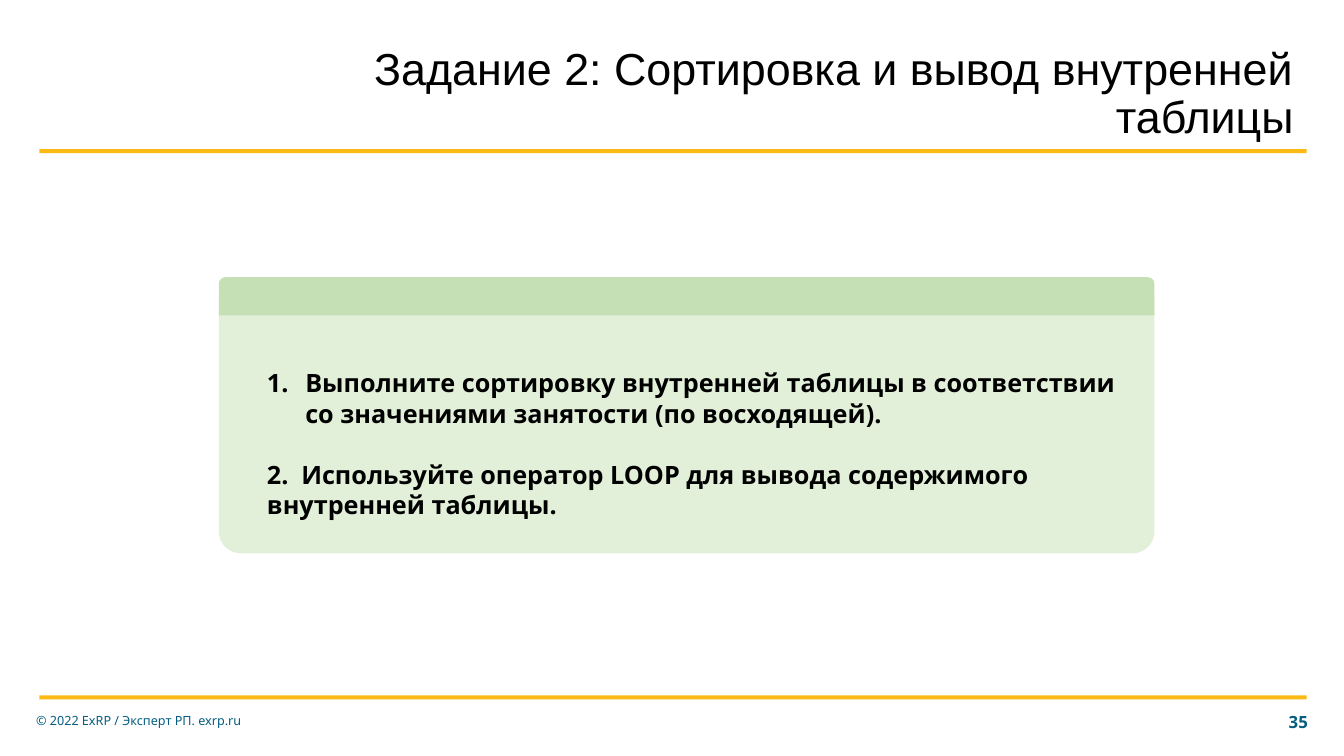
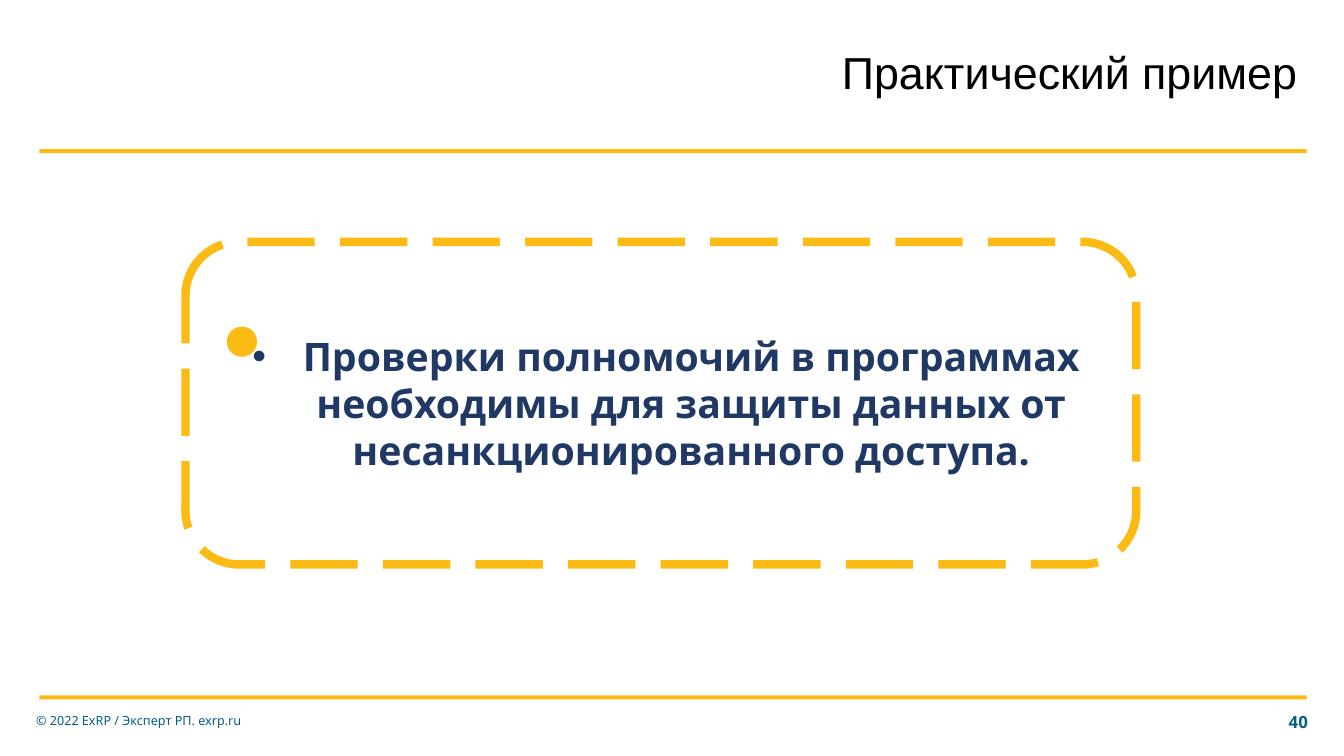
from dataclasses import dataclass
from typing import NamedTuple

from lxml.etree import SubElement
from pptx import Presentation
from pptx.dml.color import RGBColor
from pptx.enum.dml import MSO_LINE_DASH_STYLE as Dash
from pptx.enum.shapes import MSO_SHAPE as Shape
from pptx.enum.text import MSO_ANCHOR as Anchor, MSO_AUTO_SIZE as AutoSize, PP_ALIGN as Align
from pptx.oxml.ns import qn
from pptx.util import Pt

EMU_PER_PX = 9144  # 100 px to the inch


class Box(NamedTuple):
    left: int
    top: int
    width: int
    height: int

    def inner(self, left, top, width, height):
        """A box given relative to this one."""
        return Box(self.left + left, self.top + top, width, height)

    def emu(self):
        return [px(value) for value in self]


class TextStyle(NamedTuple):
    font: str
    size: int
    color: str
    bold: bool = False
    align: Align = Align.LEFT


@dataclass(frozen=True)
class Theme:
    accent: str = "FCBA14"
    panel: str = "E2F0D9"
    panel_header: str = "C5E0B4"
    dash_width: int = 6
    title: TextStyle = TextStyle("Arial", 32, "000000", align=Align.RIGHT)
    task: TextStyle = TextStyle("Noto Sans", 18, "000000", True)
    statement: TextStyle = TextStyle("Noto Sans", 28, "203864", True, Align.CENTER)
    copyright: TextStyle = TextStyle("Noto Sans", 9, "055E80")
    page_number: TextStyle = TextStyle("Noto Sans", 12, "055E80", True, Align.RIGHT)


THEME = Theme()
PAGE = Box(0, 0, 1333, 750)
COPYRIGHT = "© 2022 ExRP / Эксперт РП. exrp.ru"
TITLE_INSETS = (0, 0, 10, 5)
BODY_INSETS = (10, 5, 0, 5)
FOOTER_INSETS = (10, 5, 10, 5)


def px(value):
    return value * EMU_PER_PX


def add_shape(slide, kind, box, fill=None):
    shape = slide.shapes.add_shape(kind, *box.emu())
    shape.shadow.inherit = False
    shape.line.fill.background()
    if fill:
        shape.fill.solid()
        shape.fill.fore_color.rgb = RGBColor.from_string(fill)
    else:
        shape.fill.background()
    return shape


def add_text(slide, box, lines, style, insets, auto_size=AutoSize.NONE):
    """Place a text box and return its paragraphs."""
    text_frame = slide.shapes.add_textbox(*box.emu()).text_frame
    text_frame.word_wrap = True
    text_frame.auto_size = auto_size
    text_frame.vertical_anchor = Anchor.MIDDLE
    (text_frame.margin_left, text_frame.margin_top,
     text_frame.margin_right, text_frame.margin_bottom) = map(px, insets)
    text_frame.text = "\n".join(lines)
    for paragraph in text_frame.paragraphs:
        paragraph.alignment = style.align
        for run in paragraph.runs:
            run.font.name = style.font
            run.font.size = Pt(style.size)
            run.font.bold = style.bold
            run.font.color.rgb = RGBColor.from_string(style.color)
    return text_frame.paragraphs


def set_hanging_marker(paragraph, indent, tag, **attributes):
    properties = paragraph._p.get_or_add_pPr()
    properties.set("marL", str(px(indent)))
    properties.set("indent", str(-px(indent)))
    if tag == "a:buChar":
        SubElement(properties, qn("a:buFont"), typeface="Arial")
    SubElement(properties, qn(tag), **attributes)


def set_tab_stop(paragraph, position):
    tabs = SubElement(paragraph._p.get_or_add_pPr(), qn("a:tabLst"))
    SubElement(tabs, qn("a:tab"), pos=str(px(position)), algn="l")


def add_frame(slide, page, number):
    """Bands and footer shared by all slides."""
    for top in (148, 690):
        add_shape(slide, Shape.RECTANGLE, page.inner(39, top, 1257, 4), THEME.accent)
    add_text(slide, page.inner(1242, 696, 65, 40), [str(number)],
             THEME.page_number, FOOTER_INSETS)
    add_text(slide, page.inner(26, 695, 285, 40), [COPYRIGHT],
             THEME.copyright, FOOTER_INSETS)


def add_title(slide, box, title):
    paragraph, = add_text(slide, box, [title], THEME.title, TITLE_INSETS,
                          AutoSize.SHAPE_TO_FIT_TEXT)
    paragraph.line_spacing = 0.9


def add_task_panel(slide, box, tasks):
    """Green panel with a header strip and two numbered tasks."""
    panel = add_shape(slide, Shape.ROUNDED_RECTANGLE, box, THEME.panel)
    panel.adjustments[0] = 0.08
    first, second = add_text(slide, box.inner(38, 84, box.width - 55, 162), tasks,
                             THEME.task, BODY_INSETS, AutoSize.SHAPE_TO_FIT_TEXT)
    set_hanging_marker(first, 38, "a:buAutoNum", type="arabicPeriod")
    set_tab_stop(second, 34)
    second.space_before = Pt(22)
    add_shape(slide, Shape.ROUND_2_SAME_RECTANGLE, box.inner(0, 0, box.width, 38),
              THEME.panel_header)


def add_statement_panel(slide, box, statement):
    """Dashed outline around a centred statement with a dot."""
    text_box = box.inner(41, 84, box.width - 82, 151)
    paragraph, = add_text(slide, text_box, [statement], THEME.statement,
                          BODY_INSETS, AutoSize.SHAPE_TO_FIT_TEXT)
    set_hanging_marker(paragraph, 50, "a:buChar", char="•")
    outline = add_shape(slide, Shape.ROUNDED_RECTANGLE, box)
    outline.line.color.rgb = RGBColor.from_string(THEME.accent)
    outline.line.width = Pt(THEME.dash_width)
    outline.line.dash_style = Dash.LONG_DASH
    add_shape(slide, Shape.OVAL, text_box.inner(0, 0, 30, 30), THEME.accent)


def add_slide(presentation, number, title, title_box):
    slide = presentation.slides.add_slide(presentation.slide_layouts[6])
    add_frame(slide, PAGE, number)
    add_title(slide, title_box, title)
    return slide


def main():
    presentation = Presentation()
    presentation.slide_width, presentation.slide_height = px(PAGE.width), px(PAGE.height)

    # Sorting task
    slide = add_slide(presentation, 35, "Задание 2: Сортировка и вывод внутренней таблицы",
                      Box(265, 45, 1028, 103))
    add_task_panel(slide, Box(217, 275, 928, 274), [
        "Выполните сортировку внутренней таблицы в соответствии "
        "со значениями занятости (по восходящей).",
        "2.\tИспользуйте оператор LOOP для вывода содержимого внутренней таблицы.",
    ])

    # Practical example
    slide = add_slide(presentation, 40, "Практический пример", Box(739, 49, 558, 55))
    add_statement_panel(slide, Box(184, 240, 943, 320),
                        "Проверки полномочий в программах необходимы для защиты "
                        "данных от несанкционированного доступа.")

    presentation.save("out.pptx")


if __name__ == "__main__":
    main()
